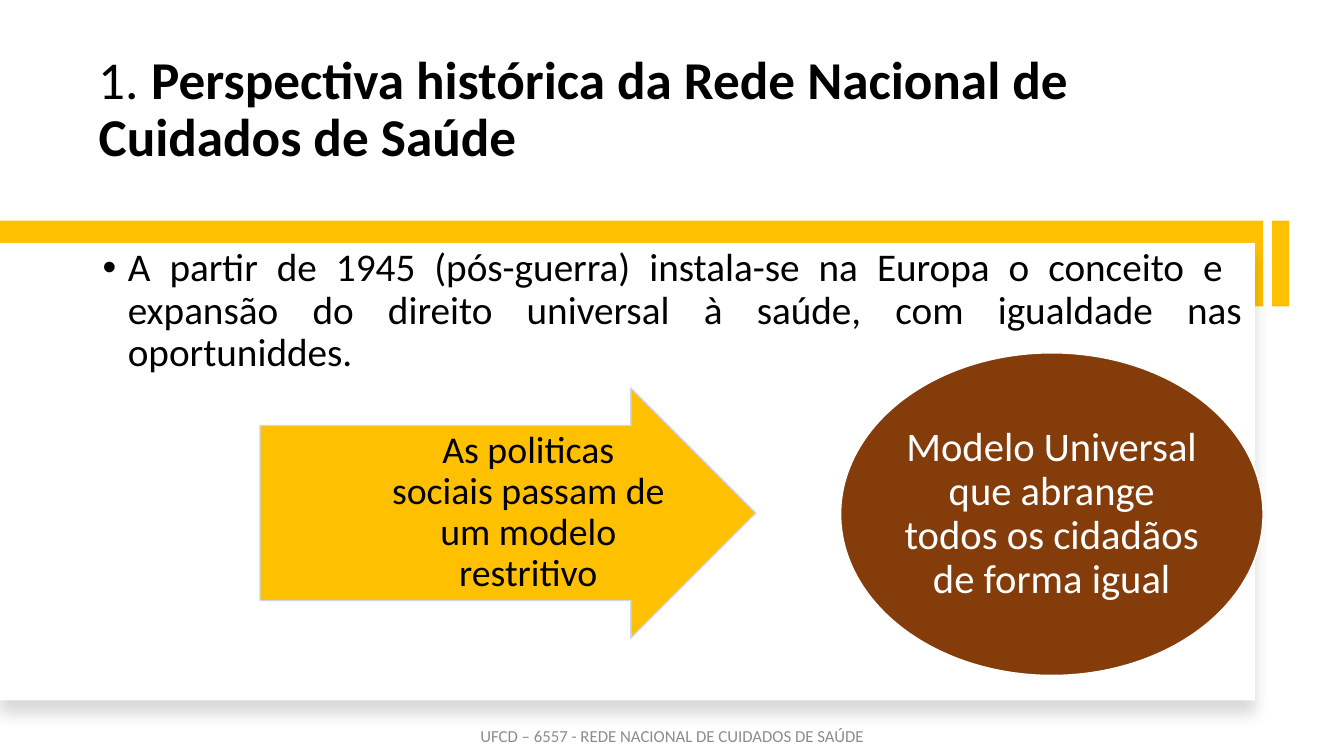
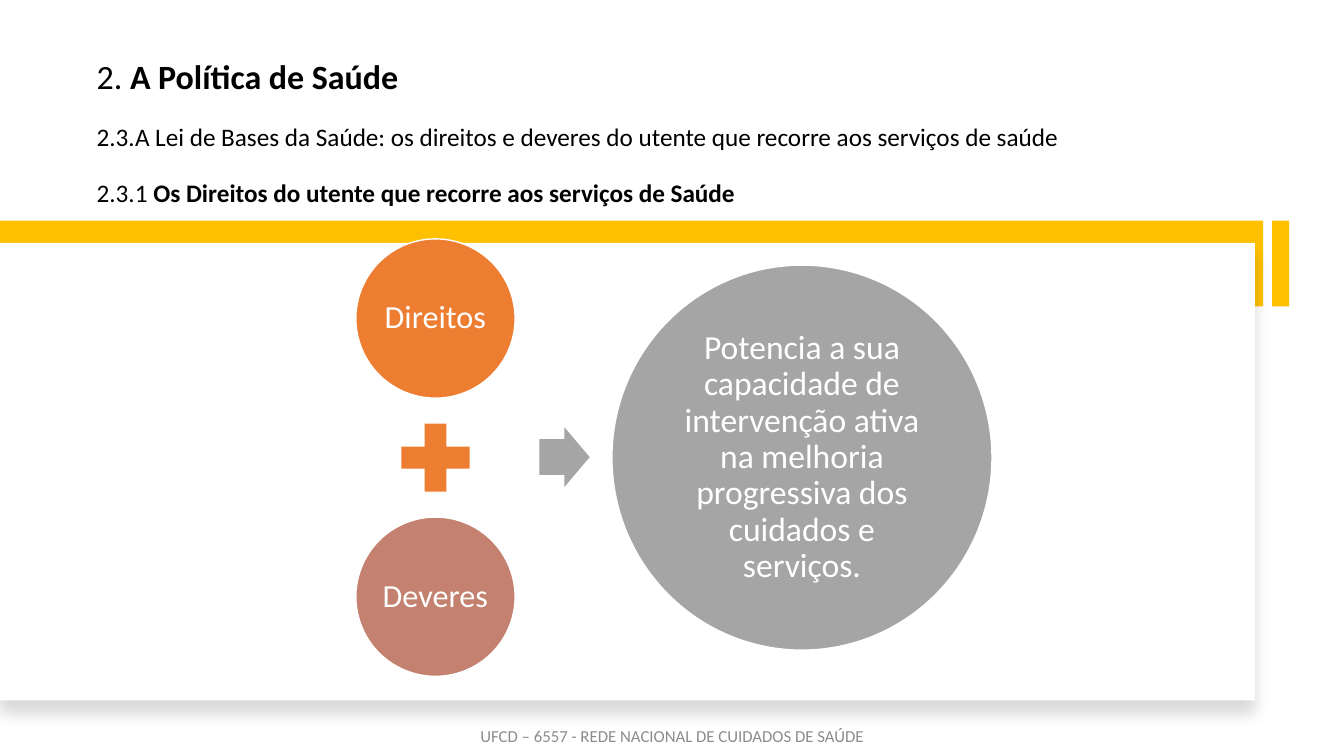
from lxml.etree import SubElement
from pptx import Presentation
from pptx.dml.color import RGBColor
from pptx.enum.shapes import MSO_SHAPE as Preset
from pptx.enum.text import MSO_ANCHOR as Anchor, PP_ALIGN as Align
from pptx.oxml.ns import qn
from pptx.util import Inches, Pt

WIDTH, HEIGHT = Inches(13.333), Inches(7.5)
FONT = "Calibri"
BLACK, WHITE, FOOTER_GRAY = "000000", "FFFFFF", "8C8C8C"
GOLD, BROWN, ORANGE, ROSE, GRAY = "FFC000", "843C0B", "ED7D31", "C48170", "A5A5A5"
FOOTER = "UFCD – 6557 - REDE NACIONAL DE CUIDADOS DE SAÚDE"
BAND_TOP, BAND_HEIGHT = 29.2, 11.33
PANEL_TOP = 32.13


def color(hex_string):
    return RGBColor.from_string(hex_string)


def place(left, top, width, height):
    """Turn percentages of the slide's size into lengths."""
    return [round(share * side / 100) for share, side in
            zip((left, top, width, height), (WIDTH, HEIGHT, WIDTH, HEIGHT))]


def write(shape, paragraphs, size, hex_string=BLACK, align=Align.LEFT,
          anchor=Anchor.MIDDLE, insets=(0.1, 0.05, 0.1, 0.05), gap=0, spacing=0.9):
    """Fill a shape with paragraphs, each a list of (text, bold[, size]) runs."""
    frame = shape.text_frame
    frame.word_wrap = True
    frame.vertical_anchor = anchor
    (frame.margin_left, frame.margin_top,
     frame.margin_right, frame.margin_bottom) = map(Inches, insets)
    for index, runs in enumerate(paragraphs):
        paragraph = frame.add_paragraph() if index else frame.paragraphs[0]
        paragraph.alignment = align
        paragraph.line_spacing = spacing
        paragraph.space_before = Pt(gap if index else 0)
        for text, bold, *own_size in runs:
            run = paragraph.add_run()
            run.text = text
            run.font.name = FONT
            run.font.size = Pt(own_size[0] if own_size else size)
            run.font.bold = bold
            run.font.color.rgb = color(hex_string)


def add_text(slide, box, paragraphs, size, **text_format):
    shape = slide.shapes.add_textbox(*place(*box))
    write(shape, paragraphs, size, **text_format)
    return shape


def add_figure(slide, preset, box, fill, line=None, adjustments=()):
    shape = slide.shapes.add_shape(preset, *place(*box))
    shape.shadow.inherit = False
    shape.fill.solid()
    shape.fill.fore_color.rgb = color(fill)
    if line:
        shape.line.color.rgb = color(line)
        shape.line.width = Pt(1)
    else:
        shape.line.fill.background()
    for index, value in enumerate(adjustments):
        shape.adjustments[index] = value
    return shape


def add_bubble(slide, box, fill, text, size, inset=0.03):
    bubble = add_figure(slide, Preset.OVAL, box, fill, line=WHITE)
    write(bubble, [[(text, False)]], size, hex_string=WHITE,
          align=Align.CENTER, insets=[inset] * 4)


def add_soft_shadow(shape):
    effects = shape._element.spPr.find(qn("a:effectLst"))
    shadow = SubElement(effects, qn("a:outerShdw"), blurRad=str(Pt(11)),
                        dist=str(Pt(10)), dir="5400000", algn="t", rotWithShape="0")
    shade = SubElement(shadow, qn("a:srgbClr"), val=BLACK)
    SubElement(shade, qn("a:alpha"), val="15000")


def add_bullet(paragraph):
    properties = paragraph._p.get_or_add_pPr()
    properties.set("marL", str(Inches(0.25)))
    properties.set("indent", str(-Inches(0.25)))
    SubElement(properties, qn("a:buFont"), typeface="Arial")
    SubElement(properties, qn("a:buChar"), char="•")


def add_framed_slide(presentation):
    """Add a blank slide with the gold band, white panel and footer."""
    slide = presentation.slides.add_slide(presentation.slide_layouts[6])
    for left, width in ((94.65, 1.28), (0, 93.98)):
        add_figure(slide, Preset.RECTANGLE, (left, BAND_TOP, width, BAND_HEIGHT), GOLD)
    panel = add_figure(slide, Preset.RECTANGLE, (0, PANEL_TOP, 93.38, 60.53), WHITE)
    add_soft_shadow(panel)
    add_text(slide, (33.15, 94.67, 33.75, 5.33), [[(FOOTER, False)]], 12,
             hex_string=FOOTER_GRAY, align=Align.CENTER, spacing=1)
    return slide


def add_history_slide(presentation):
    slide = add_framed_slide(presentation)
    title = [("1. ", False),
             ("Perspectiva histórica da Rede Nacional de Cuidados de Saúde", True)]
    add_text(slide, (6.6, 5.6, 75.75, 17.33), [title], 38, anchor=Anchor.BOTTOM)
    body = add_text(
        slide, (6.9, PANEL_TOP, 86.25, 58),
        [[("A partir de 1945 (pós-guerra) instala-se na Europa o conceito e  expansão "
           "do direito universal à saúde, com igualdade nas oportuniddes.", False)]],
        28, align=Align.JUSTIFY, anchor=Anchor.TOP)
    add_bullet(body.text_frame.paragraphs[0])
    add_figure(slide, Preset.RIGHT_ARROW, (19.35, 51.33, 36.9, 33.07), GOLD,
               line="CFD5EA", adjustments=(0.7, 0.5))
    add_text(slide, (28.58, 56.27, 21.23, 23.07),
             [[("As politicas sociais passam de um modelo restritivo", False)]], 27,
             align=Align.CENTER, insets=(0.07, 0.02, 0.04, 0.02))
    add_bubble(slide, (62.55, 46.67, 31.43, 42.67), BROWN,
               "Modelo Universal que abrange todos os cidadãos de forma igual", 29,
               inset=0.02)


def add_rights_slide(presentation):
    slide = add_framed_slide(presentation)
    title = [
        [("2. ", False, 24.3), ("A Política de Saúde", True, 24.3)],
        [("2.3.A Lei de Bases da Saúde: os direitos e deveres do utente "
          "que recorre aos serviços de saúde", False)],
        [("2.3.1 ", False),
         ("Os Direitos do utente que recorre aos serviços de Saúde", True)],
    ]
    add_text(slide, (6.45, 7.33, 74.78, 21.73), title, 18, anchor=Anchor.TOP, gap=20)

    center, top, gap = 32.4, 31.6, 1.73
    circle, plus = (11.85, 21.07), (6.9, 12.27)
    for text, fill, (width, height) in (("Direitos", ORANGE, circle),
                                        (None, ORANGE, plus),
                                        ("Deveres", ROSE, circle)):
        box = (center - width / 2, top, width, height)
        if text:
            add_bubble(slide, box, fill, text, 23)
        else:
            add_figure(slide, Preset.MATH_PLUS, box, fill)
        top += height + gap

    add_figure(slide, Preset.RIGHT_ARROW, (40.13, 56.53, 3.75, 7.87), GRAY,
               adjustments=(0.6, 0.5))
    add_bubble(slide, (45.53, 35.07, 28.28, 50.93), GRAY,
               "Potencia a sua capacidade de intervenção ativa na melhoria "
               "progressiva dos cuidados e serviços.", 24)


def main():
    presentation = Presentation()
    presentation.slide_width, presentation.slide_height = WIDTH, HEIGHT
    add_history_slide(presentation)
    add_rights_slide(presentation)
    presentation.save("out.pptx")


if __name__ == "__main__":
    main()
